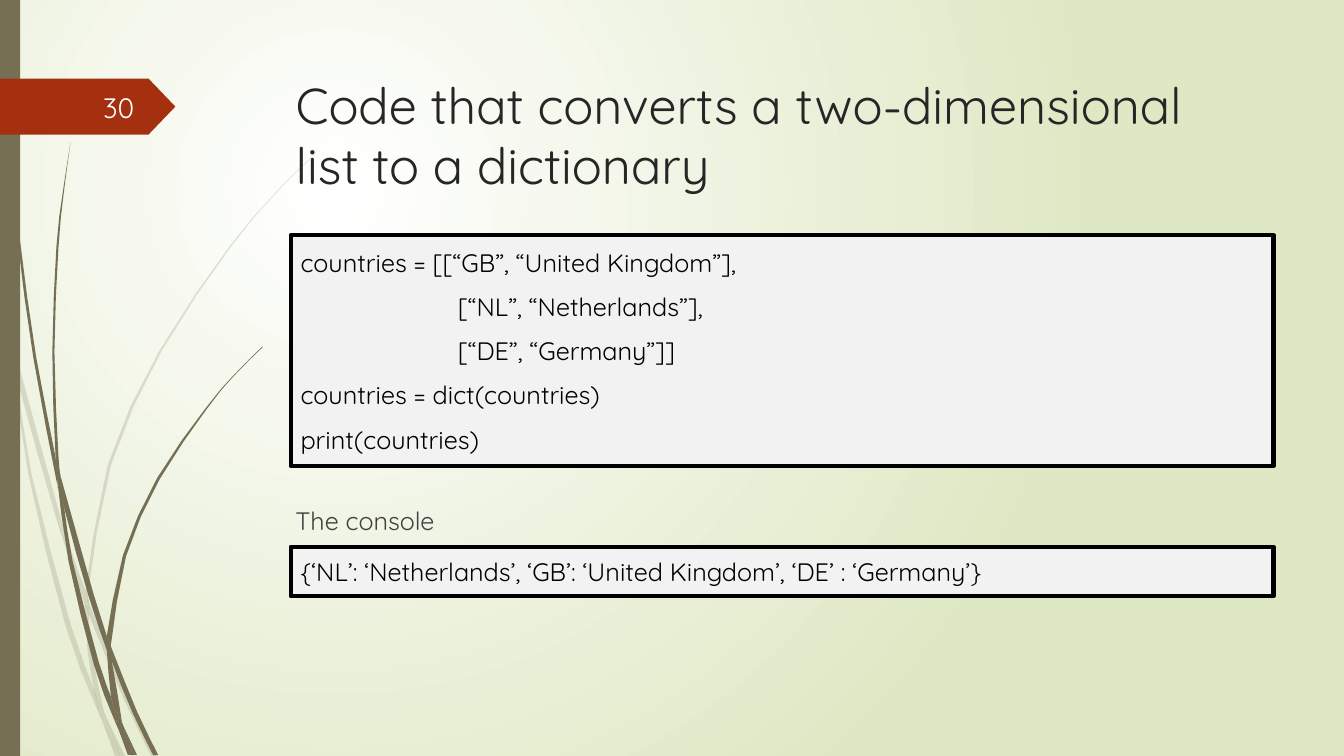
from dataclasses import dataclass

from lxml.etree import SubElement
from pptx import Presentation
from pptx.dml.color import RGBColor
from pptx.enum.shapes import MSO_SHAPE
from pptx.enum.text import MSO_ANCHOR, PP_ALIGN
from pptx.oxml.ns import qn
from pptx.util import Pt

FONT = "Quicksand"
WHITE = RGBColor(0xFF, 0xFF, 0xFF)
PALE_GREEN = RGBColor(0xDF, 0xE8, 0xC4)
OLIVE = RGBColor(0x76, 0x6F, 0x54)
RUST = RGBColor(0xA5, 0x30, 0x10)
PANEL_GRAY = RGBColor(0xF2, 0xF2, 0xF2)
BLACK = RGBColor(0, 0, 0)
TITLE_GRAY = RGBColor(0x26, 0x26, 0x26)
BODY_GRAY = RGBColor(0x40, 0x40, 0x40)
NUMBER_WHITE = RGBColor(0xFE, 0xFF, 0xFF)

SLIDE_WIDTH, SLIDE_HEIGHT = 960, 540
PANEL_LEFT, PANEL_WIDTH = 207.6, 702
CODE_INDENT = 112.3
CURVE_STEPS = 2

Point = tuple[float, float]


@dataclass(frozen=True)
class Box:
    left: float
    top: float
    width: float
    height: float

    def lengths(self) -> tuple:
        return Pt(self.left), Pt(self.top), Pt(self.width), Pt(self.height)


@dataclass(frozen=True)
class Blade:
    """Part of a grass blade between two edges, both listed downwards."""
    left: list[Point]
    right: list[Point]


@dataclass(frozen=True)
class Panel:
    box: Box
    lines: list[tuple[str, float]]  # text and indent


PALE_BLADES = [
    Blade([(0, 215.3), (7.2, 247.7), (7.9, 252)], [(0, 203), (6.5, 231.8), (7.9, 252)]),
    Blade([(10.1, 248.4), (12.2, 270.7), (41.8, 375.8), (60.5, 431.3)],
          [(10.1, 248.4), (44.6, 374.4), (61.2, 421.9)]),
    Blade([(63.4, 439.2), (88.6, 499.7), (108, 540)], [(63.4, 429.1), (66.2, 437), (91.4, 498.2), (111.6, 540)]),
    Blade([(75.6, 511.9), (85.7, 540)], [(75.6, 511.9), (89.3, 540)]),
    Blade([(7.9, 252), (20.2, 338.4), (46.8, 447.1), (66.2, 499), (72.7, 514.1)],
          [(7.9, 252), (12.2, 270.7), (22.3, 337.7), (50.4, 445.7), (67, 491.8), (71.3, 509), (72.7, 514.1)]),
    Blade([(60.5, 431.3), (62.6, 465.1), (67, 491.8), (69.1, 498.2), (75.6, 511.9)],
          [(60.5, 431.3), (63.4, 437.8), (65.5, 465.1), (74.2, 508.3), (75.6, 511.9)]),
    Blade([(224.6, 110.2), (208.1, 126), (193, 141.8), (164.2, 175.7), (113.8, 250.6), (77, 331.9), (61.2, 421.9)],
          [(224.6, 110.9), (208.8, 126), (193, 142.6), (164.9, 176.4), (115.2, 251.3), (79.2, 332.6),
           (63.4, 420.5), (63.4, 429.1)]),
    Blade([(72.7, 514.1), (82.1, 540)], [(72.7, 514.1), (85.7, 540)]),
    Blade([(61.2, 421.9), (60.5, 431.3), (63.4, 437.8)], [(61.2, 421.9), (63.4, 429.1), (63.4, 439.2)]),
    Blade([(67, 491.8), (71.3, 509), (72.7, 514.1), (85.7, 540)],
          [(67, 491.8), (69.1, 498.2), (75.6, 511.9), (85.7, 540)]),
]
DARK_BLADES = [
    Blade([(2.2, 0), (2.9, 34.6), (5, 79.2), (12.2, 167.8), (23.8, 255.6), (40.3, 343.4), (41, 346.3)],
          [(2.9, 0), (3.6, 34.6), (5.8, 78.5), (13.7, 167), (25.9, 255.6), (39.6, 326.2), (41, 346.3)]),
    Blade([(43.2, 339.8), (46.1, 363.6), (63.4, 426.2), (76.3, 464.4)],
          [(43.2, 339.8), (67, 424.8), (76.3, 454.3), (76.3, 464.4)]),
    Blade([(79.2, 461.5), (79.9, 472.3), (95, 509.8), (109.4, 539.3)],
          [(79.2, 461.5), (81.4, 467.3), (97.9, 508.3), (113, 539.3)]),
    Blade([(41, 343.4), (49, 401), (67, 474.5), (79.9, 509.8), (84.2, 519.8)],
          [(41, 343.4), (46.1, 363.6), (51.8, 400.3), (70.6, 473), (79.2, 497.5), (83.5, 516.2), (84.2, 519.8)]),
    Blade([(50.4, 101.5), (44.6, 139), (40.3, 176.4), (37.4, 251.3), (39.6, 323.3), (43.2, 339.8)],
          [(50.4, 101.5), (45.4, 139), (41.8, 176.4), (38.9, 251.3), (41.8, 326.2), (43.2, 339.8)]),
    Blade([(87.8, 517.7), (95.8, 539.3)], [(87.8, 517.7), (97.9, 539.3)]),
    Blade([(39.6, 323.3), (41, 343.4), (46.1, 363.6)], [(39.6, 323.3), (43.2, 339.8), (46.1, 363.6)]),
    Blade([(187.2, 247.7), (166.3, 268.6), (146.9, 291.6), (112.3, 341.3), (87.8, 396.7), (76.3, 454.3)],
          [(187.9, 247.7), (166.3, 269.3), (147.6, 292.3), (113.8, 342.7), (90, 397.4), (79.9, 455.8), (79.2, 461.5)]),
    Blade([(84.2, 519.8), (91.4, 539.3)], [(84.2, 519.8), (94.3, 539.3)]),
    Blade([(76.3, 464.4), (79.2, 497.5), (83.5, 508.3), (87.8, 517.7)],
          [(76.3, 464.4), (79.9, 472.3), (87.1, 515.5), (87.8, 517.7)]),
    Blade([(76.3, 454.3), (76.3, 464.4), (79.9, 472.3)], [(76.3, 454.3), (79.2, 461.5), (79.9, 472.3)]),
    Blade([(79.2, 497.5), (83.5, 516.2), (84.2, 519.8), (93.6, 539.3)],
          [(79.2, 497.5), (83.5, 508.3), (87.8, 517.7), (95.8, 539.3)]),
]
PANELS = [
    Panel(Box(PANEL_LEFT, 168, PANEL_WIDTH, 164.9),
          [("countries = [[“GB”, “United Kingdom”],", 0), ("[“NL”, “Netherlands”],", CODE_INDENT),
           ("[“DE”, “Germany”]]", CODE_INDENT), ("countries = dict(countries)", 0), ("print(countries)", 0)]),
    Panel(Box(PANEL_LEFT, 390.6, PANEL_WIDTH, 35.3),
          [("{‘NL’: ‘Netherlands’, ‘GB’: ‘United Kingdom’, ‘DE’ : ‘Germany’}", 0)]),
]


def smooth(points: list[Point]) -> list[Point]:
    """Catmull-Rom curve through the points."""
    padded = [points[0], *points, points[-1]]
    curve = []
    for neighbours in zip(padded, padded[1:], padded[2:], padded[3:]):
        for step in range(CURVE_STEPS):
            t = step / CURVE_STEPS
            curve.append(tuple(
                q + t / 2 * (r - p + t * (2 * p - 5 * q + 4 * r - s + t * (3 * (q - r) + s - p)))
                for p, q, r, s in zip(*neighbours)))
    return [*curve, points[-1]]


def style(shape, fill: RGBColor, line: RGBColor | None = None, line_width: float = 0) -> None:
    shape.shadow.inherit = False
    shape.fill.solid()
    shape.fill.fore_color.rgb = fill
    if line is None:
        shape.line.fill.background()
    else:
        shape.line.color.rgb = line
        shape.line.width = Pt(line_width)


def add_blade(slide, blade: Blade, opacity: int) -> None:
    outline = (smooth(blade.left) if len(blade.left) > 2 else blade.left) + smooth(blade.right)[::-1]
    start, *rest = [(Pt(x), Pt(y)) for x, y in outline]
    builder = slide.shapes.build_freeform(*start)
    builder.add_line_segments(rest, close=True)
    shape = builder.convert_to_shape()
    style(shape, OLIVE)
    if opacity < 100:
        color = next(shape.element.spPr.iter(qn("a:srgbClr")))
        SubElement(color, qn("a:alpha"), val=str(opacity * 1000))


def add_shape(slide, kind: MSO_SHAPE, box: Box, fill: RGBColor, **line):
    shape = slide.shapes.add_shape(kind, *box.lengths())
    style(shape, fill, **line)
    return shape


def write(frame, lines: list[tuple[str, float]], *, size: float, color: RGBColor,
          align=PP_ALIGN.LEFT, anchor=MSO_ANCHOR.TOP, space_before: float = 0) -> None:
    frame.word_wrap = True
    frame.vertical_anchor = anchor
    for index, (text, indent) in enumerate(lines):
        paragraph = frame.add_paragraph() if index else frame.paragraphs[0]
        paragraph.alignment = align
        paragraph.space_before = Pt(space_before)
        if indent:
            paragraph._p.get_or_add_pPr().set("marL", str(Pt(indent)))
        run = paragraph.add_run()
        run.text = text
        run.font.name, run.font.size = FONT, Pt(size)
        run.font.color.rgb = color


def add_text(slide, text: str, box: Box, **text_format) -> None:
    write(slide.shapes.add_textbox(*box.lengths()).text_frame, [(text, 0)], **text_format)


def paint_background(slide) -> None:
    fill = slide.background.fill
    fill.gradient()
    for stop, color in zip(fill.gradient_stops, (WHITE, PALE_GREEN)):
        stop.color.rgb = color
    gradient = next(slide.element.iter(qn("a:gradFill")))
    gradient.remove(gradient.find(qn("a:lin")))
    circle = SubElement(gradient, qn("a:path"), path="circle")
    SubElement(circle, qn("a:fillToRect"), l="50000", t="50000", r="100000", b="100000")


presentation = Presentation()
presentation.slide_width, presentation.slide_height = Pt(SLIDE_WIDTH), Pt(SLIDE_HEIGHT)
slide = presentation.slides.add_slide(presentation.slide_layouts[6])

# Background, grass and side bar
paint_background(slide)
for blades, opacity in ((PALE_BLADES, 20), (DARK_BLADES, 100)):
    for blade in blades:
        add_blade(slide, blade, opacity)
add_shape(slide, MSO_SHAPE.RECTANGLE, Box(0, 0, 14.4, SLIDE_HEIGHT), OLIVE)

# Slide number tag
tag = add_shape(slide, MSO_SHAPE.PENTAGON, Box(0, 56.2, 125.3, 39.9), RUST)
tag.adjustments[0] = 0.48
add_text(slide, "30", Box(41.8, 61.9, 61.2, 28.8), size=20, color=NUMBER_WHITE,
         align=PP_ALIGN.RIGHT, anchor=MSO_ANCHOR.MIDDLE)

# Title and console caption
add_text(slide, "Code that converts a two-dimensional list to a dictionary",
         Box(204.1, 49.3, PANEL_WIDTH, 100.8), size=36, color=TITLE_GRAY)
add_text(slide, "The console", Box(203.8, 357.4, PANEL_WIDTH, 30), size=18, color=BODY_GRAY)

# Code and output panels
for panel in PANELS:
    shape = add_shape(slide, MSO_SHAPE.RECTANGLE, panel.box, PANEL_GRAY, line=BLACK, line_width=3)
    write(shape.text_frame, panel.lines, size=18, color=BLACK, anchor=MSO_ANCHOR.MIDDLE, space_before=10)

presentation.save("out.pptx")
